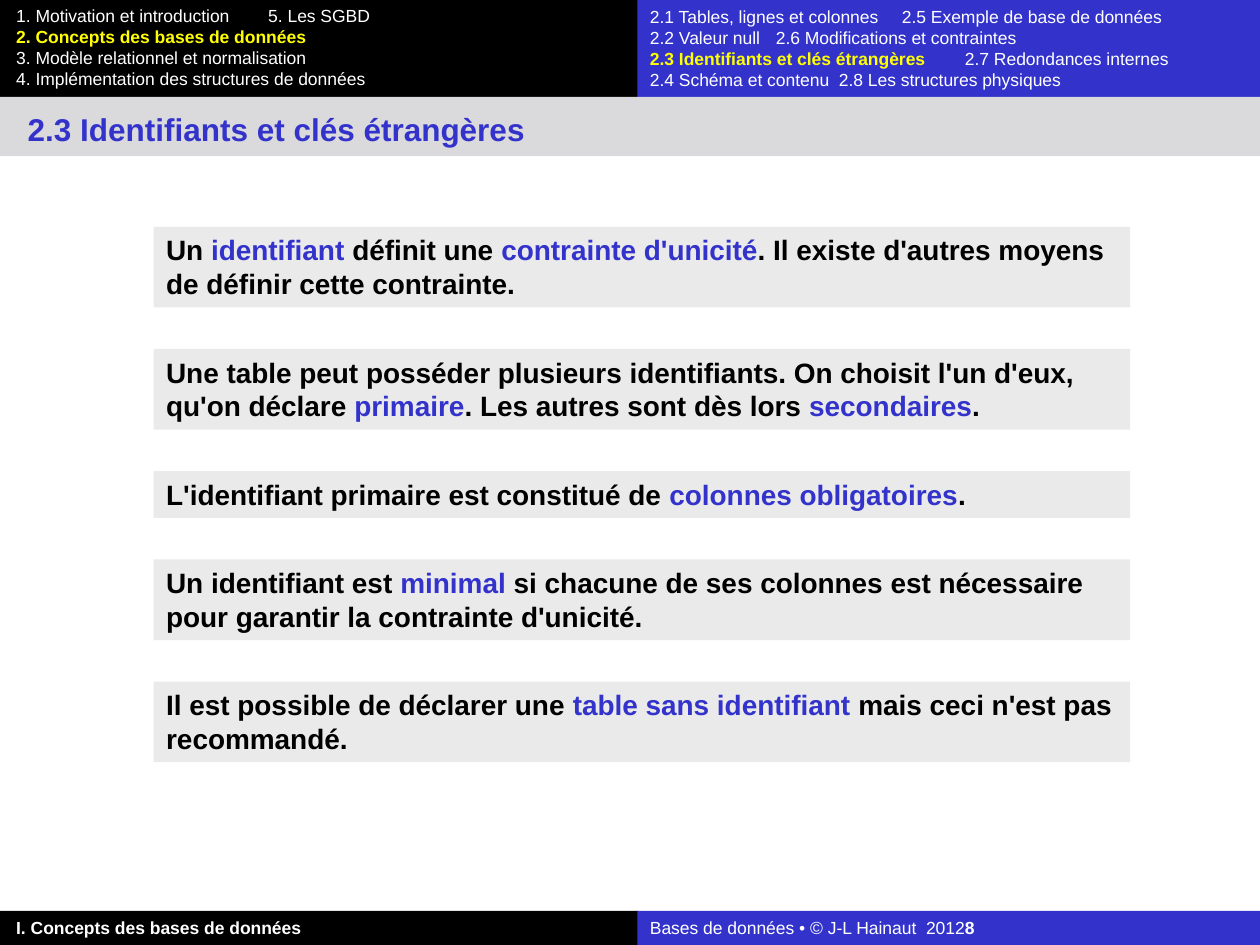
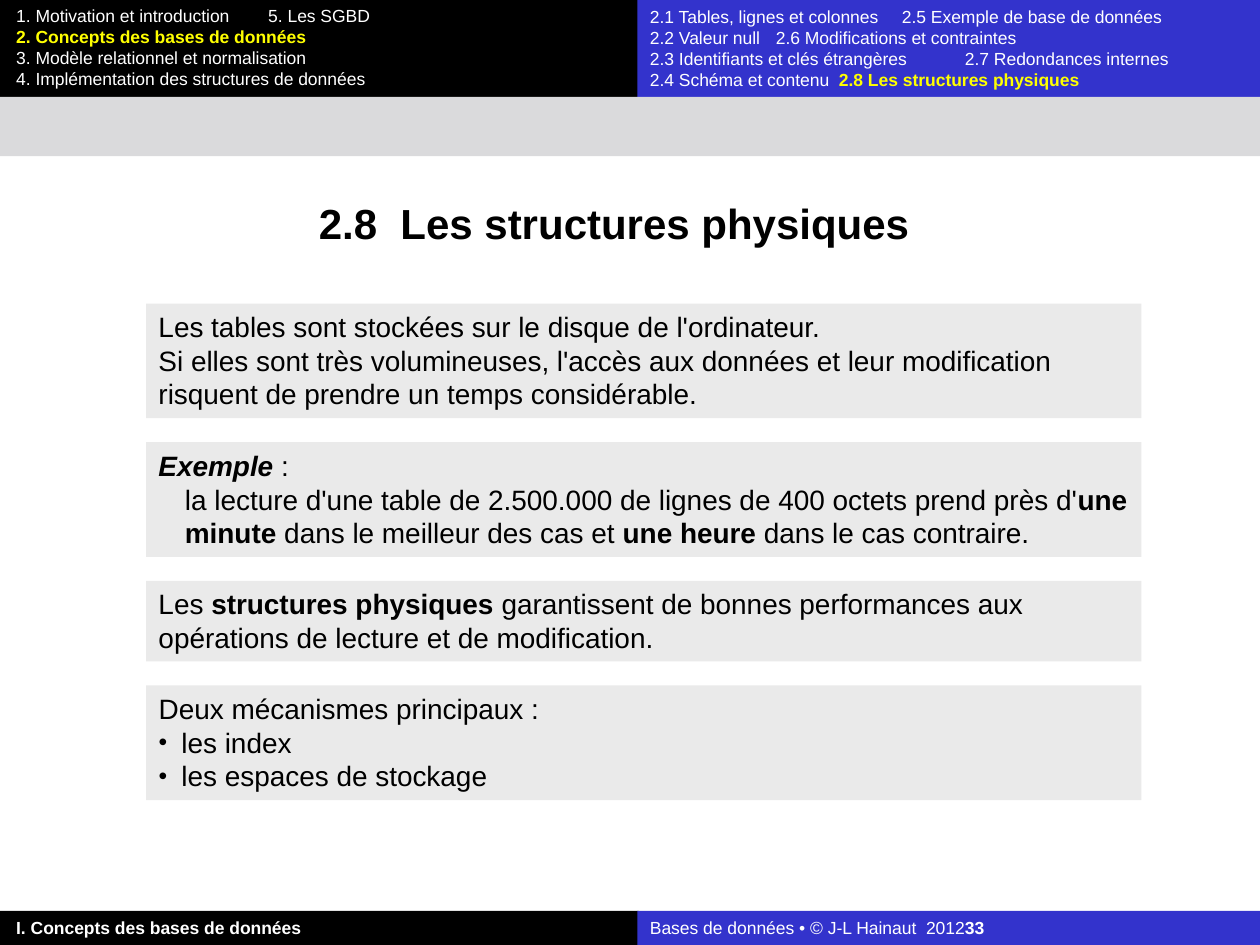
from dataclasses import dataclass

from lxml.etree import SubElement
from pptx import Presentation
from pptx.dml.color import RGBColor
from pptx.enum.shapes import MSO_SHAPE
from pptx.enum.text import MSO_ANCHOR, MSO_AUTO_SIZE, PP_ALIGN
from pptx.oxml.ns import qn
from pptx.util import Inches, Pt


@dataclass(frozen=True)
class Theme:
    font: str = "Arial"
    black: str = "000000"
    blue: str = "3333CC"
    white: str = "FFFFFF"
    yellow: str = "FFFF00"
    band: str = "DADADC"
    card: str = "EAEAEA"
    nav_size: int = 10
    body_size: int = 16
    title_size: int = 18
    heading_size: int = 24


theme = Theme()


def write(sp, text, size=theme.body_size, color=theme.black, bold=False,
          accent=None, accent_bold=True, tab=None, tab_align="l", bullets=False):
    tf = sp.text_frame
    tf.word_wrap = True
    tf.auto_size = MSO_AUTO_SIZE.NONE
    tf.vertical_anchor = MSO_ANCHOR.TOP
    tf.margin_left = tf.margin_right = Inches(0.1)
    tf.margin_top = tf.margin_bottom = Inches(0.05)
    for i, line in enumerate(text.split("\n")):
        p = tf.add_paragraph() if i else tf.paragraphs[0]
        p.alignment = PP_ALIGN.LEFT
        p.space_before = Pt(0)
        pPr = p._p.get_or_add_pPr()
        bulleted = bullets and i > 0
        pPr.set("marL", str(Inches(0.18) if bulleted else 0))
        pPr.set("indent", str(Inches(-0.18) if bulleted else 0))
        if bulleted:
            SubElement(pPr, qn("a:buSzPct"), val="87500")
            SubElement(pPr, qn("a:buFont"), typeface=theme.font)
            SubElement(pPr, qn("a:buChar"), char="•")
        else:
            SubElement(pPr, qn("a:buNone"))
        if tab:
            tabs = SubElement(pPr, qn("a:tabLst"))
            SubElement(tabs, qn("a:tab"), pos=str(Inches(tab)), algn=tab_align)
        for j, part in enumerate(line.split("*")):
            if part:
                r = p.add_run()
                r.text = part
                marked = j % 2 == 1
                r.font.name = theme.font
                r.font.size = Pt(size)
                r.font.bold = accent_bold if marked else bold
                r.font.color.rgb = RGBColor.from_string(
                    accent if marked and accent else color)


def add_box(s, x, y, w, h, fill):
    sp = s.shapes.add_shape(MSO_SHAPE.RECTANGLE, Inches(x), Inches(y), Inches(w), Inches(h))
    sp.shadow.inherit = False
    sp.fill.solid()
    sp.fill.fore_color.rgb = RGBColor.from_string(fill)
    sp.line.fill.background()
    return sp


prs = Presentation()
prs.slide_width = Inches(10)
prs.slide_height = Inches(7.5)

rules = prs.slides.add_slide(prs.slide_layouts[5])
physical = prs.slides.add_slide(prs.slide_layouts[1])

shared = [
    add_box(rules, 0, 0, 5.07, 0.77, theme.black),
    add_box(rules, 5.06, 0, 4.94, 0.77, theme.blue),
    add_box(rules, 0, 7.23, 5.07, 0.27, theme.black),
    add_box(rules, 5.06, 7.23, 4.94, 0.27, theme.blue),
    add_box(rules, 0, 0.77, 10, 0.47, theme.band),
]
part_label = rules.shapes.add_textbox(Inches(0.03), Inches(7.23), Inches(4.61), Inches(0.27))
write(part_label, "I. Concepts des bases de données",
      size=theme.nav_size, color=theme.white, bold=True)
chapters = rules.shapes.add_textbox(Inches(0.03), Inches(-0.01), Inches(4.61), Inches(0.77))
write(chapters, "1. Motivation et introduction\t5. Les SGBD\n"
      "*2. Concepts des bases de données*\n"
      "3. Modèle relationnel et normalisation\n"
      "4. Implémentation des structures de données",
      size=theme.nav_size, color=theme.white, accent=theme.yellow, tab=3.1)
for number, sp in enumerate(shared + [part_label, chapters], 20):
    sp._element.nvSpPr.cNvPr.id = number
    prs.slide_master.shapes._spTree.append(sp._element)

sections = [
    ("2.1 Tables, lignes et colonnes", "2.5 Exemple de base de données"),
    ("2.2 Valeur null", "2.6 Modifications et contraintes"),
    ("2.3 Identifiants et clés étrangères", "2.7 Redondances internes"),
    ("2.4 Schéma et contenu", "2.8 Les structures physiques"),
]
for s, current, page in [(rules, "2.3", "8"), (physical, "2.8", "33")]:
    nav = "\n".join(
        "\t".join(f"*{name}*" if name.startswith(current) else name for name in row)
        for row in sections)
    sp = s.shapes.add_textbox(Inches(5.06), Inches(0), Inches(4.94), Inches(0.77))
    write(sp, nav, size=theme.nav_size, color=theme.white, accent=theme.yellow, tab=2.29)
    sp = s.shapes.add_textbox(Inches(5.06), Inches(7.23), Inches(4.94), Inches(0.27))
    write(sp, f"Bases de données • © J-L Hainaut  2012\t*{page}*",
          size=theme.nav_size, color=theme.white, tab=4.68, tab_align="r")

titles = [
    (rules, "2.3 Identifiants et clés étrangères", 0.12, 0.82, 9.33, 0.4,
     theme.title_size, theme.blue),
    (physical, "2.8  Les structures physiques", 2.43, 1.52, 5.2, 0.5,
     theme.heading_size, theme.black),
]
for s, text, x, y, w, h, size, color in titles:
    sp = s.shapes.title
    sp.left, sp.top, sp.width, sp.height = Inches(x), Inches(y), Inches(w), Inches(h)
    write(sp, text, size=size, color=color, bold=True)

rule_cards = [
    (2, "Un *identifiant* définit une *contrainte d'unicité*. "
        "Il existe d'autres moyens de définir cette contrainte."),
    (2, "Une table peut posséder plusieurs identifiants. On choisit l'un d'eux, "
        "qu'on déclare *primaire*. Les autres sont dès lors *secondaires*."),
    (1, "L'identifiant primaire est constitué de *colonnes obligatoires*."),
    (2, "Un identifiant est *minimal* si chacune de ses colonnes est nécessaire "
        "pour garantir la contrainte d'unicité."),
    (2, "Il est possible de déclarer une *table sans identifiant* "
        "mais ceci n'est pas recommandé."),
]
physical_cards = [
    (3, "Les tables sont stockées sur le disque de l'ordinateur.\n"
        "Si elles sont très volumineuses, l'accès aux données et leur modification "
        "risquent de prendre un temps considérable."),
    (3, "*Exemple* :\nla lecture d'une table de 2.500.000 de lignes de 400 octets "
        "prend près d'*une minute* dans le meilleur des cas et *une heure* "
        "dans le cas contraire."),
    (2, "Les *structures physiques* garantissent de bonnes performances aux "
        "opérations de lecture et de modification."),
    (3, "Deux mécanismes principaux :\nles index\nles espaces de stockage"),
]
decks = [
    (rules, rule_cards, 1.22, 1.8, 7.75, 0.33, True, theme.blue),
    (physical, physical_cards, 1.16, 2.41, 7.9, 0.19, False, theme.black),
]
for s, cards, x, y, w, gap, bold, accent in decks:
    for lines, text in cards:
        h = 0.1 + 0.27 * lines
        is_list = text.startswith("Deux")
        if is_list:
            sp = s.placeholders[1]
            sp.left, sp.top, sp.width, sp.height = Inches(x), Inches(y), Inches(w), Inches(h)
            sp.fill.solid()
            sp.fill.fore_color.rgb = RGBColor.from_string(theme.card)
        else:
            sp = add_box(s, x, y, w, h, theme.card)
        write(sp, text, bold=bold, accent=accent, bullets=is_list)
        if text.startswith("*Exemple"):
            label, detail = sp.text_frame.paragraphs
            label.runs[0].font.italic = True
            detail._p.get_or_add_pPr().set("marL", str(Inches(0.21)))
        y += h + gap

prs.save("out.pptx")
